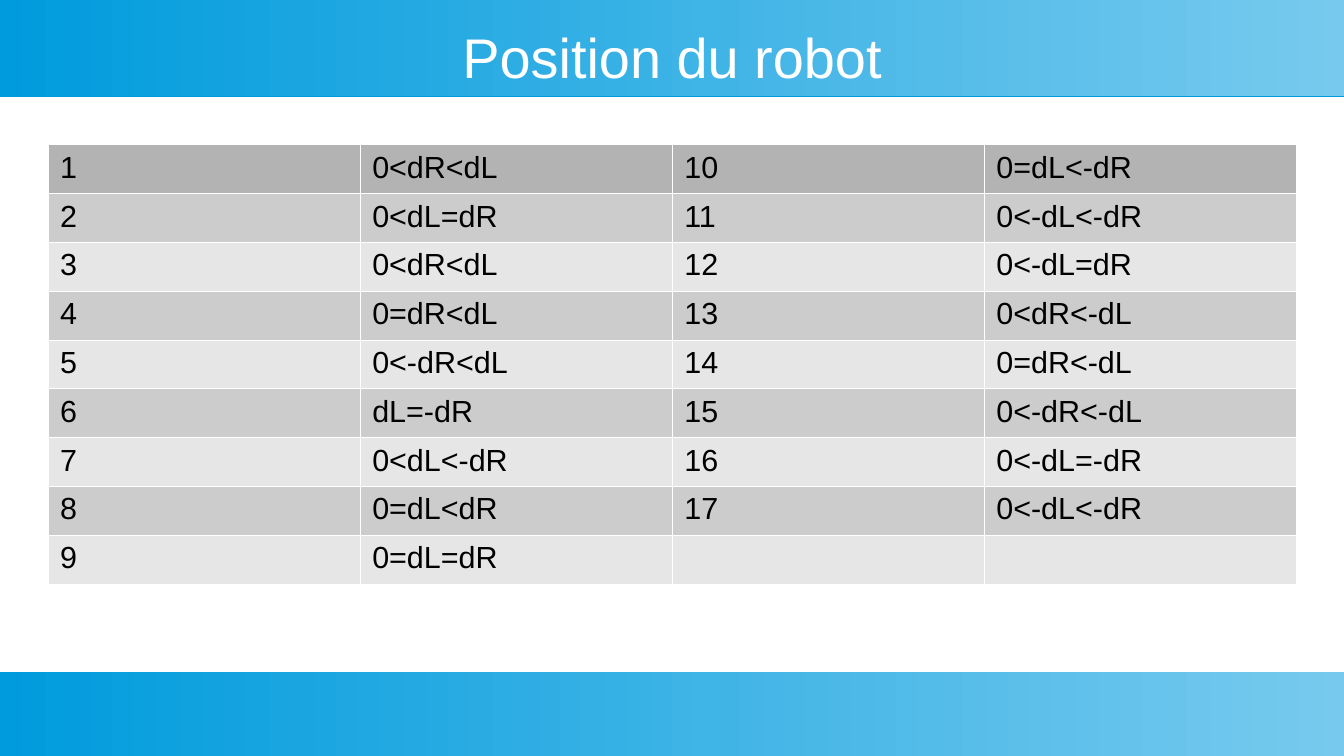
from dataclasses import dataclass

from lxml import etree
from pptx import Presentation
from pptx import util as u
from pptx.dml.color import RGBColor
from pptx.enum import shapes, text
from pptx.oxml import ns

Pt = u.Pt
WHITE = RGBColor(0xFF, 0xFF, 0xFF)
BLACK = RGBColor(0, 0, 0)
DEEP_BLUE = RGBColor(0x00, 0x9B, 0xDD)
PALE_BLUE = RGBColor(0x77, 0xCA, 0xEE)
HEADER_GREY = RGBColor(0xB3, 0xB3, 0xB3)
DARK_GREY = RGBColor(0xCC, 0xCC, 0xCC)
LIGHT_GREY = RGBColor(0xE6, 0xE6, 0xE6)

SLIDE_W, SLIDE_H = 793.44, 446.4
MARGIN = 28.35
CONTENT_W = 737.0
TABLE_TOP = 85.3
ROW_H = 28.73
BORDER_W = 0.06

CONDITIONS = [
    "0<dR<dL", "0<dL=dR", "0<dR<dL", "0=dR<dL", "0<-dR<dL", "dL=-dR",
    "0<dL<-dR", "0=dL<dR", "0=dL=dR", "0=dL<-dR", "0<-dL<-dR", "0<-dL=dR",
    "0<dR<-dL", "0=dR<-dL", "0<-dR<-dL", "0<-dL=-dR", "0<-dL<-dR",
]
ROWS, COLS = 9, 4


@dataclass
class Band:
    top: float
    height: float


BANDS = [Band(0, 56.7), Band(396.8, SLIDE_H - 396.8)]


def set_attrs(obj: object, values: dict) -> None:
    for name, value in values.items():
        setattr(obj, name, value)


def sub(parent, tag: str, **attrs: str):
    return etree.SubElement(parent, ns.qn(tag), attrs)


def add_band(s, band: Band):
    """Draw a full-width gradient bar with a thin hard shadow below it."""
    sp = s.shapes.add_shape(shapes.MSO_SHAPE.RECTANGLE, 0, Pt(band.top),
                            Pt(SLIDE_W), Pt(band.height))
    sp.line.fill.background()
    sp.fill.gradient()
    sp.fill.gradient_angle = 0
    for stop, color in zip(sp.fill.gradient_stops, (DEEP_BLUE, PALE_BLUE)):
        stop.color.rgb = color
    sp.shadow.inherit = False
    effects = sp._element.spPr.find(ns.qn("a:effectLst"))
    shadow = sub(effects, "a:outerShdw", blurRad="0", dist=str(Pt(0.9)),
                 dir="5400000", rotWithShape="0")
    sub(shadow, "a:srgbClr", val=str(DEEP_BLUE))
    return sp


def format_title(title) -> None:
    set_attrs(title, dict(left=Pt(MARGIN), top=Pt(14.2),
                          width=Pt(CONTENT_W), height=Pt(37.6)))
    tf = title.text_frame
    tf.text = "Position du robot"
    set_attrs(tf, dict(margin_left=0, margin_top=0, margin_right=0,
                       margin_bottom=0, word_wrap=True,
                       vertical_anchor=text.MSO_ANCHOR.MIDDLE,
                       auto_size=text.MSO_AUTO_SIZE.SHAPE_TO_FIT_TEXT))
    p = tf.paragraphs[0]
    p.alignment = text.PP_ALIGN.CENTER
    r = p.runs[0]
    set_attrs(r.font, dict(size=Pt(33), name="Arial", bold=False))
    r.font.color.rgb = WHITE


def add_borders(cell) -> None:
    tc_pr = cell._tc.get_or_add_tcPr()
    for side in ("a:lnL", "a:lnR", "a:lnT", "a:lnB"):
        line = sub(tc_pr, side, w=str(Pt(BORDER_W)))
        sub(sub(line, "a:solidFill"), "a:srgbClr", val=str(WHITE))


def row_fill(row: int) -> RGBColor:
    if row == 0:
        return HEADER_GREY
    return DARK_GREY if row % 2 else LIGHT_GREY


def cell_text(row: int, col: int) -> str:
    """Numbers and conditions run down two side-by-side pairs of columns."""
    index = row + ROWS * (col // 2)
    if index >= len(CONDITIONS):
        return ""
    return CONDITIONS[index] if col % 2 else str(index + 1)


def add_position_table(s) -> None:
    table = s.shapes.add_table(ROWS, COLS, Pt(MARGIN), Pt(TABLE_TOP),
                               Pt(CONTENT_W), Pt(ROW_H * ROWS)).table
    set_attrs(table, dict(first_row=False, horz_banding=False))
    for column in table.columns:
        column.width = Pt(CONTENT_W / COLS)
    for row in range(ROWS):
        table.rows[row].height = Pt(ROW_H)
        for col in range(COLS):
            cell = table.cell(row, col)
            add_borders(cell)
            cell.fill.solid()
            cell.fill.fore_color.rgb = row_fill(row)
            cell.text = cell_text(row, col)
            font = cell.text_frame.paragraphs[0].font
            set_attrs(font, dict(size=Pt(18), name="Arial"))
            font.color.rgb = BLACK


def main() -> None:
    prs = Presentation()
    set_attrs(prs, dict(slide_width=Pt(SLIDE_W), slide_height=Pt(SLIDE_H)))
    s = prs.slides.add_slide(prs.slide_layouts[5])
    title = s.shapes.title
    for band in BANDS:
        title._element.addprevious(add_band(s, band)._element)
    format_title(title)
    add_position_table(s)
    prs.save("out.pptx")


if __name__ == "__main__":
    main()
